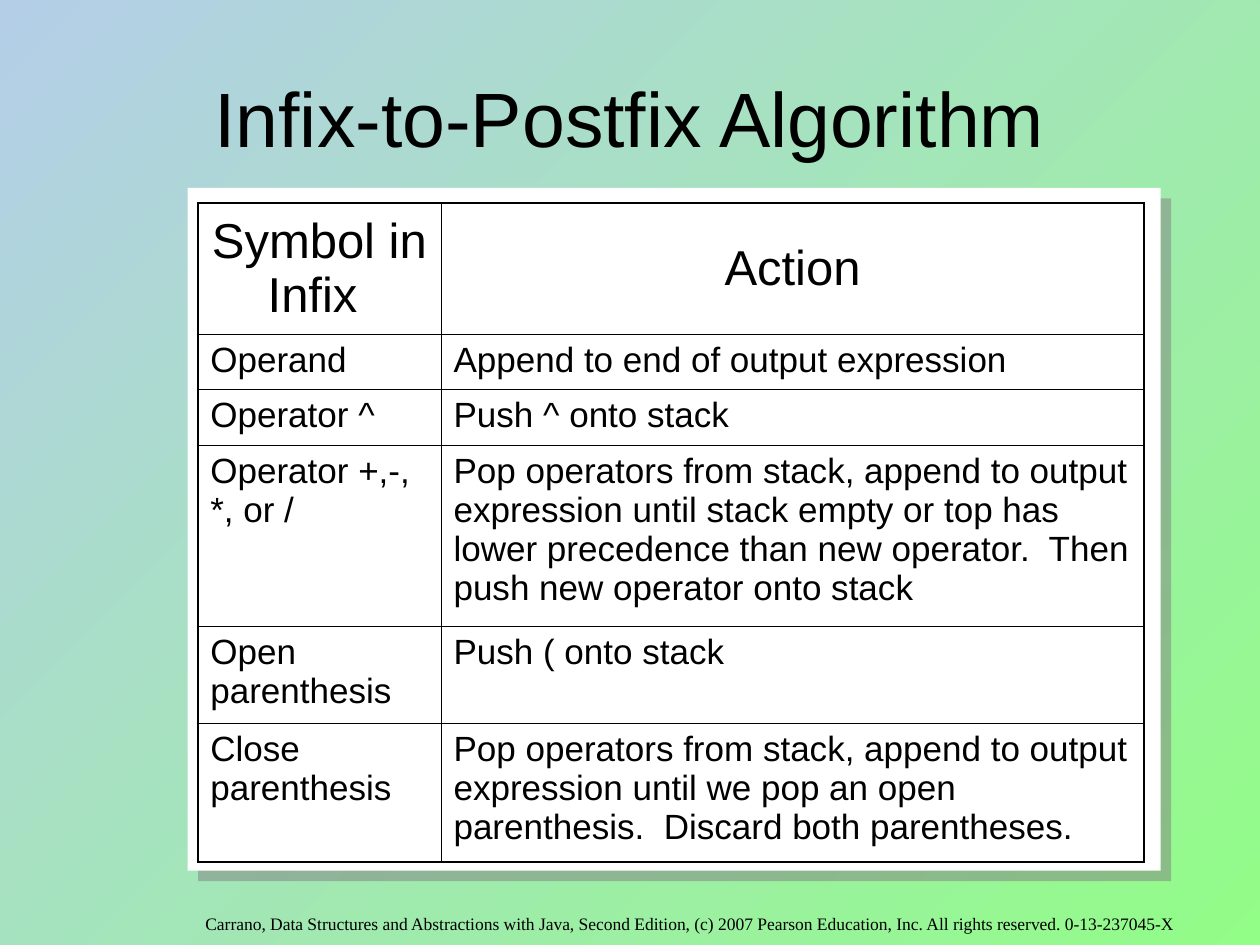
from dataclasses import dataclass

from lxml.etree import SubElement
from pptx import Presentation
from pptx.dml.color import RGBColor
from pptx.enum.shapes import MSO_SHAPE as Shape
from pptx.enum.text import MSO_ANCHOR as Anchor, PP_ALIGN as Align
from pptx.oxml.ns import qn
from pptx.util import Pt

COLORS = {
    "text": "000000",
    "panel": "FFFFFF",
    "shadow": "808080",
    "gradient_start": "92FD87",
    "gradient_end": "B4CEE8",
}
COLUMN_WIDTHS = (139, 401.8)
OUTER_LINE, INNER_LINE = 1.08, 0.45


@dataclass(frozen=True)
class TextStyle:
    size: float
    font: str = "Arial"
    align: Align = Align.LEFT
    anchor: Anchor = Anchor.TOP


@dataclass(frozen=True)
class Rule:
    symbol: str
    action: str
    height: float


TITLE = TextStyle(44, align=Align.CENTER, anchor=Anchor.MIDDLE)
HEADER = TextStyle(28, align=Align.CENTER, anchor=Anchor.MIDDLE)
BODY = TextStyle(20)
FOOTER = TextStyle(10, "Times New Roman", Align.CENTER)

RULES = (
    Rule("Symbol in Infix ", "Action", 75),
    Rule("Operand", "Append to end of output expression", 31.7),
    Rule("Operator ^", "Push ^ onto stack", 31.7),
    Rule(
        "Operator +,-,\v*, or /",
        "Pop operators from stack, append to output expression until stack "
        "empty or top has lower precedence than new operator.  Then push new "
        "operator onto stack",
        103.5,
    ),
    Rule("Open parenthesis", "Push ( onto stack", 55.5),
    Rule(
        "Close parenthesis",
        "Pop operators from stack, append to output expression until we pop "
        "an open parenthesis.  Discard both parentheses.",
        79.2,
    ),
)


def rgb(name: str) -> RGBColor:
    return RGBColor.from_string(COLORS[name])


def write(frame, text: str, style: TextStyle):
    paragraph = frame.paragraphs[0]
    paragraph.text = text
    paragraph.alignment = style.align
    paragraph.font.size = Pt(style.size)
    paragraph.font.name = style.font
    paragraph.font.color.rgb = rgb("text")
    return paragraph


def add_text(slide, left: float, top: float, width: float, height: float,
             text: str, style: TextStyle):
    frame = slide.shapes.add_textbox(Pt(left), Pt(top), Pt(width), Pt(height)).text_frame
    frame.word_wrap = True
    frame.vertical_anchor = style.anchor
    return write(frame, text, style)


def add_panel(slide) -> None:
    panel = slide.shapes.add_shape(Shape.RECTANGLE, Pt(107.3), Pt(107.3), Pt(556), Pt(390.2))
    panel.fill.solid()
    panel.fill.fore_color.rgb = rgb("panel")
    panel.line.fill.background()
    panel.shadow.inherit = False
    effects = panel._element.spPr.find(qn("a:effectLst"))
    shadow = SubElement(effects, qn("a:outerShdw"), blurRad="0", dist=str(Pt(8.5)),
                        dir="2700000", algn="ctr", rotWithShape="0")
    tint = SubElement(shadow, qn("a:srgbClr"), val=COLORS["shadow"])
    SubElement(tint, qn("a:alpha"), val="50000")


def add_borders(cell, outer_sides: dict[str, bool]) -> None:
    properties = cell._tc.get_or_add_tcPr()
    for side, is_outer in outer_sides.items():
        width = OUTER_LINE if is_outer else INNER_LINE
        border = SubElement(properties, qn(f"a:ln{side}"), w=str(Pt(width)))
        fill = SubElement(border, qn("a:solidFill"))
        SubElement(fill, qn("a:srgbClr"), val=COLORS["text"])


def add_rules(slide, rules: tuple[Rule, ...]) -> None:
    table = slide.shapes.add_table(
        len(rules), len(COLUMN_WIDTHS), Pt(113), Pt(116),
        Pt(sum(COLUMN_WIDTHS)), Pt(sum(rule.height for rule in rules)),
    ).table
    for column, width in zip(table.columns, COLUMN_WIDTHS):
        column.width = Pt(width)
    last_row, last_column = len(rules) - 1, len(COLUMN_WIDTHS) - 1
    for r, rule in enumerate(rules):
        table.rows[r].height = Pt(rule.height)
        style = HEADER if r == 0 else BODY
        for c, text in enumerate((rule.symbol, rule.action)):
            cell = table.cell(r, c)
            cell.vertical_anchor = style.anchor
            write(cell.text_frame, text, style)
            add_borders(cell, {"L": c == 0, "R": c == last_column,
                               "T": r == 0, "B": r == last_row})
            cell.fill.solid()
            cell.fill.fore_color.rgb = rgb("panel")


def main() -> None:
    deck = Presentation()
    deck.slide_width, deck.slide_height = Pt(720), Pt(540)
    slide = deck.slides.add_slide(deck.slide_layouts[6])

    backdrop = slide.background.fill
    backdrop.gradient()
    backdrop.gradient_angle = 135
    for stop, name in zip(backdrop.gradient_stops, ("gradient_start", "gradient_end")):
        stop.color.rgb = rgb(name)

    add_panel(slide)
    add_text(slide, 36, 21.6, 648, 90, "Infix-to-Postfix Algorithm", TITLE)
    add_rules(slide, RULES)
    footer = add_text(
        slide, 50.4, 518.4, 669.6, 14.4,
        "Carrano, Data Structures and Abstractions with Java, Second Edition, "
        "(c) 2007 Pearson Education, Inc. All rights reserved. 0-13-237045-X",
        FOOTER,
    )
    footer._p.get_or_add_pPr().set("marL", str(Pt(17.3)))
    deck.save("out.pptx")


if __name__ == "__main__":
    main()
